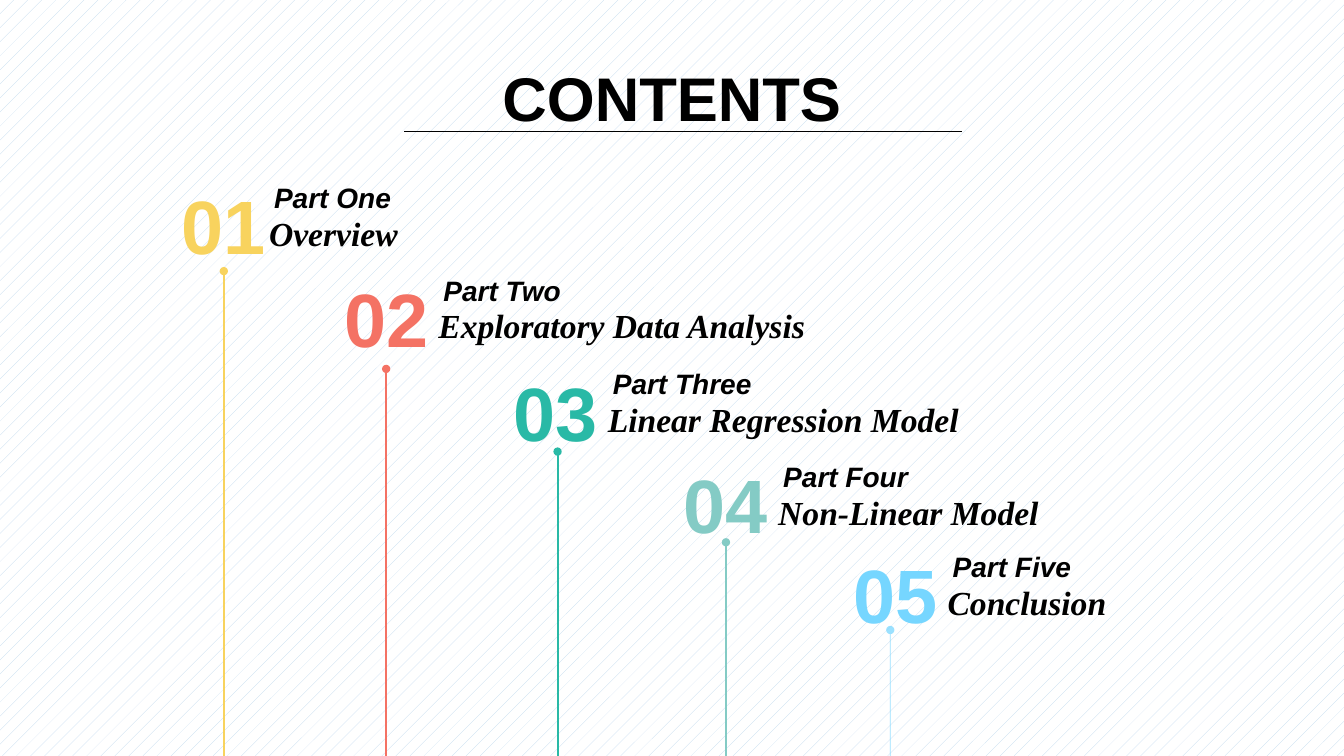
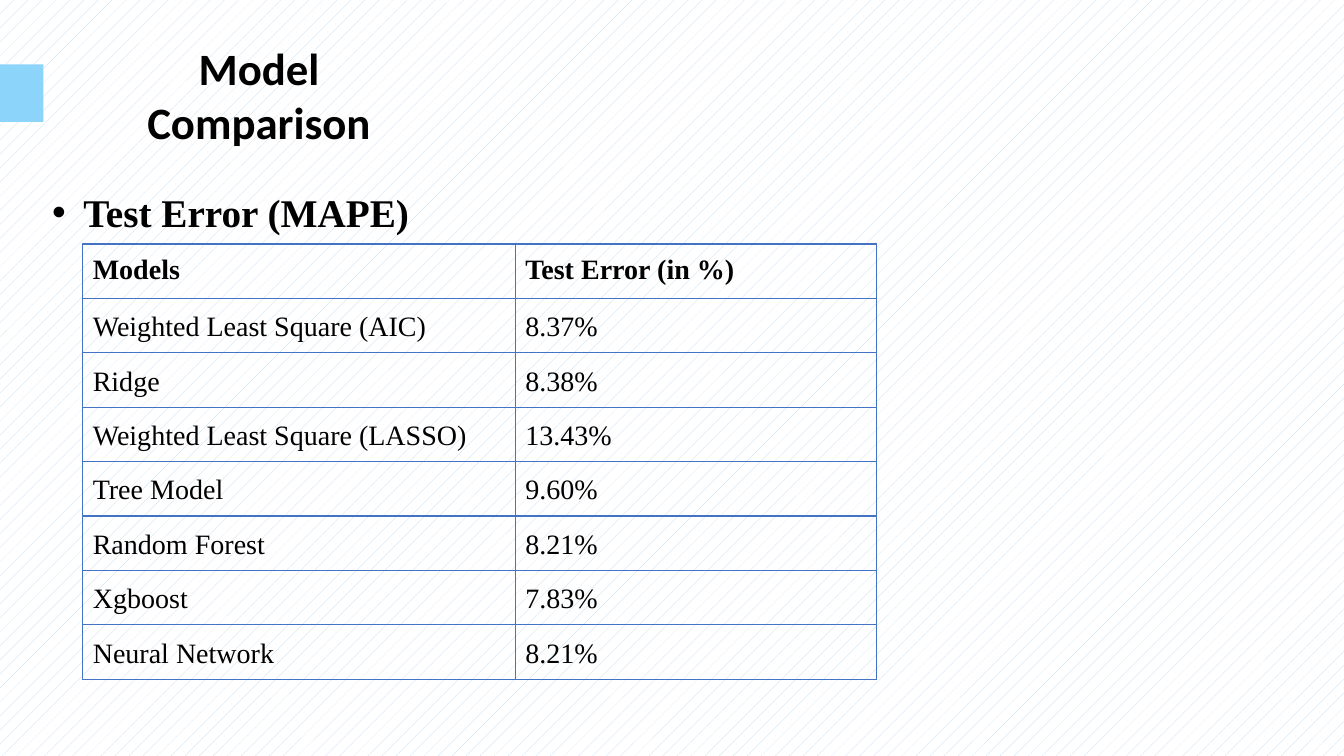
from lxml import etree
from pptx import Presentation
from pptx.dml.color import RGBColor
from pptx.enum.dml import MSO_PATTERN
from pptx.enum.shapes import MSO_CONNECTOR, MSO_SHAPE
from pptx.enum.text import MSO_ANCHOR, PP_ALIGN
from pptx.oxml.ns import qn
from pptx.util import Inches, Pt

PATTERN = MSO_PATTERN.PERCENT_5
STRAIGHT = MSO_CONNECTOR.STRAIGHT
RECTANGLE = MSO_SHAPE.RECTANGLE
TOP, MIDDLE, BOTTOM = MSO_ANCHOR.TOP, MSO_ANCHOR.MIDDLE, MSO_ANCHOR.BOTTOM
CENTER = PP_ALIGN.CENTER

BLACK, WHITE, PALE_BLUE = "000000", "FFFFFF", "BDD7EE"
ACCENT, BORDER = "8DD4FB", "4472C4"
SANS, SERIF, TITLE_FONT = "Arial", "Times New Roman", "Calibri"
SLIDE_WIDTH, SLIDE_HEIGHT = 13.33, 7.5

# number, part, heading, colour, left, top, label offset, stem x, stem top, stem width, opacity
PARTS = [
    ("01", "Part One", "Overview", "F8D35E", 1.8, 1.77, 0.77, 2.22, 2.69, 1.5, 100),
    ("02", "Part Two", "Exploratory Data Analysis", "F47264", 3.41, 2.69, 0.84, 3.83, 3.66, 1.5, 100),
    ("03", "Part Three", "Linear Regression Model", "29B9A6", 5.09, 3.62, 0.84, 5.53, 4.48, 1.5, 100),
    ("04", "Part Four", "Non-Linear Model", "84CBC5", 6.78, 4.54, 0.84, 7.2, 5.38, 1.5, 100),
    ("05", "Part Five", "Conclusion", "76D6FF", 8.46, 5.43, 0.84, 8.83, 6.25, 0.5, 72),
]
ERRORS = [
    ("Models", "Test Error (in %)"),
    ("Weighted Least Square (AIC)", "8.37%"),
    ("Ridge", "8.38%"),
    ("Weighted Least Square (LASSO)", "13.43%"),
    ("Tree Model", "9.60%"),
    ("Random Forest", "8.21%"),
    ("Xgboost", "7.83%"),
    ("Neural Network", "8.21%"),
]


def color(value):
    """Turn a hex string into a colour."""
    return RGBColor.from_string(value)


def add_slide(presentation):
    """Add a blank slide with the shared patterned background."""
    slide = presentation.slides.add_slide(presentation.slide_layouts[6])
    fill = slide.background.fill
    fill.patterned()
    fill.pattern = PATTERN
    fill.fore_color.rgb = color(PALE_BLUE)
    fill.back_color.rgb = color(WHITE)
    return slide


def style_text(paragraph, size, font_name, text_color=BLACK, bold=True, italic=False):
    """Format every run of a paragraph."""
    for run in paragraph.runs:
        font = run.font
        font.size, font.name = Pt(size), font_name
        font.bold, font.italic = bold, italic
        font.color.rgb = color(text_color)


def add_text(shapes, box, text, size, font_name, **style):
    """Add a wrapping text box and return its paragraph."""
    shape = shapes.add_textbox(*map(Inches, box))
    frame = shape.text_frame
    frame.word_wrap = True
    frame.text = text
    style_text(frame.paragraphs[0], size, font_name, **style)
    return frame.paragraphs[0]


def add_centered_text(shapes, box, text, size, font_name, text_color=BLACK):
    """Add an unwrapped display text centred in its box."""
    shape = shapes.add_textbox(*map(Inches, box))
    frame = shape.text_frame
    frame.word_wrap = False
    frame.margin_left = frame.margin_top = frame.margin_right = frame.margin_bottom = 0
    frame.vertical_anchor = MIDDLE
    frame.text = text
    frame.paragraphs[0].alignment = CENTER
    style_text(frame.paragraphs[0], size, font_name, text_color)


def add_line(slide, start, end, line_color, width, opacity=100, dot=False):
    """Add a straight line, with a round dot at its start if asked."""
    connector = slide.shapes.add_connector(STRAIGHT, *map(Inches, (*start, *end)))
    connector.line.color.rgb = color(line_color)
    connector.line.width = Pt(width)
    properties = connector.element.spPr
    etree.SubElement(properties, qn("a:effectLst"))
    line = properties.find(qn("a:ln"))
    if opacity < 100:
        tint = line.find(".//" + qn("a:srgbClr"))
        etree.SubElement(tint, qn("a:alpha"), val=str(opacity * 1000))
    if dot:
        etree.SubElement(line, qn("a:headEnd"), type="oval")


def add_part(slide, number, part, heading, part_color, left, top, offset,
             stem_x, stem_top, stem_width, opacity):
    """Add one contents entry with the stem below its number."""
    add_line(slide, (stem_x, stem_top), (stem_x, SLIDE_HEIGHT),
             part_color, stem_width, opacity, dot=True)
    shapes = slide.shapes.add_group_shape().shapes
    add_centered_text(shapes, (left, top, 0.84, 0.91), number, 54, SANS, part_color)
    label_left = left + offset
    add_text(shapes, (label_left, top + 0.29, 4.1, 0.5), heading, 24, SERIF, italic=True)
    add_text(shapes, (label_left + 0.05, top - 0.03, 1.9, 0.44), part, 20, SANS, italic=True)


def build_contents(presentation):
    """Build the contents slide."""
    slide = add_slide(presentation)
    add_centered_text(slide.shapes, (4.97, 0.59, 3.39, 0.74), "CONTENTS", 44, SANS)
    add_line(slide, (4.01, 1.3), (9.54, 1.3), BLACK, 0.5)
    for part in PARTS:
        add_part(slide, *part)


def add_title(slide, text, top, width):
    """Add the slide title with its accent block at the left edge."""
    shapes = slide.shapes.add_group_shape().shapes
    block = shapes.add_shape(RECTANGLE, 0, Inches(top), Inches(0.43), Inches(0.57))
    block.shadow.inherit = False
    block.fill.solid()
    block.fill.fore_color.rgb = color(ACCENT)
    block.line.fill.background()
    add_centered_text(shapes, (0.82, top + 0.03, width, 0.54), text, 32, TITLE_FONT)


def add_bullet(slide, box, text):
    """Add a bulleted heading."""
    paragraph = add_text(slide.shapes, box, text, 28, SERIF)
    paragraph.line_spacing = 1.5
    properties = paragraph._p.get_or_add_pPr()
    properties.set("marL", str(Inches(0.31)))
    properties.set("indent", str(-Inches(0.31)))
    etree.SubElement(properties, qn("a:buFont"), typeface=SANS)
    etree.SubElement(properties, qn("a:buChar"), char="•")


def add_borders(cell):
    """Draw a thin line on all four sides of a cell."""
    properties = cell._tc.get_or_add_tcPr()
    for side in ("lnL", "lnR", "lnT", "lnB"):
        line = etree.SubElement(properties, qn("a:" + side), w=str(Pt(1)))
        fill = etree.SubElement(line, qn("a:solidFill"))
        etree.SubElement(fill, qn("a:srgbClr"), val=BORDER)


def add_error_table(slide, left, top, column_widths, row_height):
    """Add the table of test errors."""
    box = (left, top, sum(column_widths), row_height * len(ERRORS))
    table = slide.shapes.add_table(len(ERRORS), len(column_widths), *map(Inches, box)).table
    table.first_row = table.horz_banding = False
    for column, width in zip(table.columns, column_widths):
        column.width = Inches(width)
    for row_index, values in enumerate(ERRORS):
        for column_index, value in enumerate(values):
            cell = table.cell(row_index, column_index)
            cell.text = value
            cell.margin_left = cell.margin_right = Inches(0.1)
            cell.margin_top = cell.margin_bottom = Inches(0.1)
            cell.vertical_anchor = BOTTOM if row_index else TOP
            style_text(cell.text_frame.paragraphs[0], 20, SERIF, bold=row_index == 0)
            add_borders(cell)
            cell.fill.background()


def build_comparison(presentation):
    """Build the model comparison slide."""
    slide = add_slide(presentation)
    add_title(slide, "Model Comparison", 0.64, 3.5)
    add_bullet(slide, (0.42, 1.59, 12.1, 1.34), "Test Error (MAPE)")
    add_error_table(slide, 0.82, 2.42, (4.29, 3.58), 0.54)


def main():
    """Build and save the presentation."""
    presentation = Presentation()
    presentation.slide_width = Inches(SLIDE_WIDTH)
    presentation.slide_height = Inches(SLIDE_HEIGHT)
    build_contents(presentation)
    build_comparison(presentation)
    presentation.save("out.pptx")


if __name__ == "__main__":
    main()
